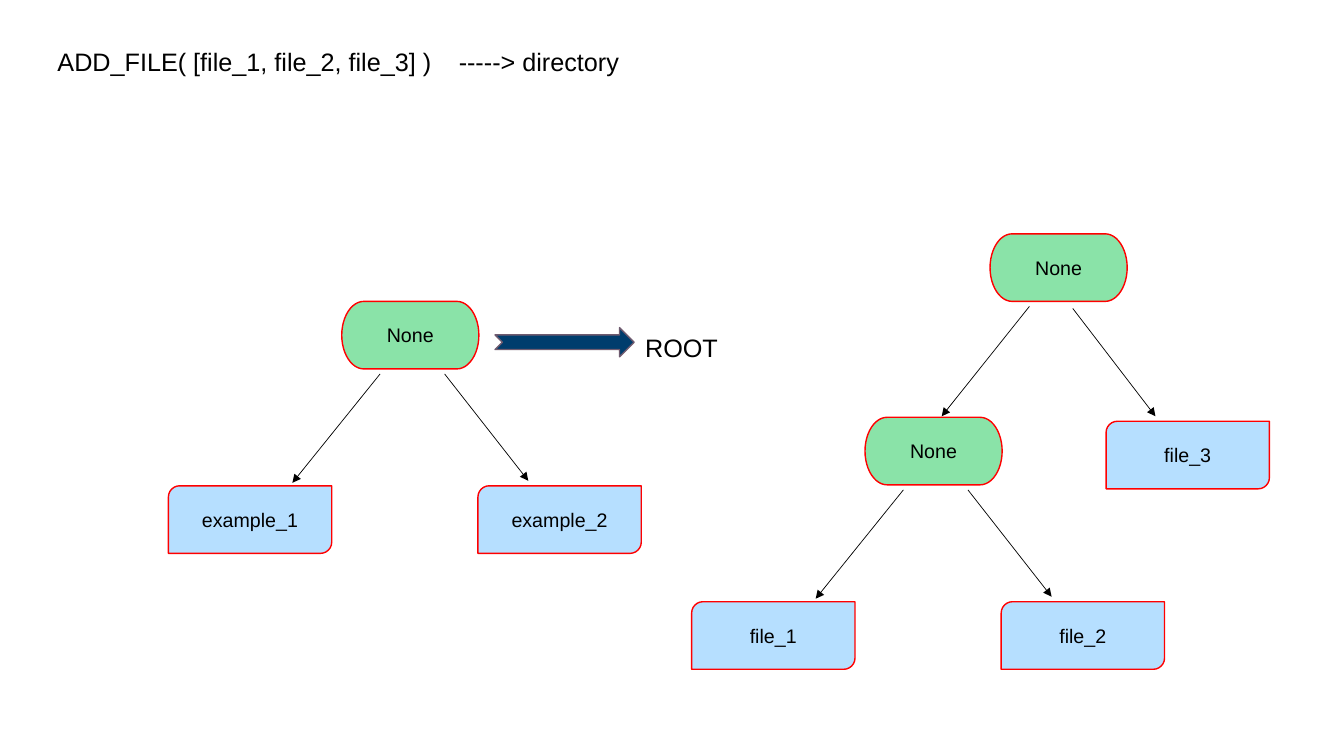
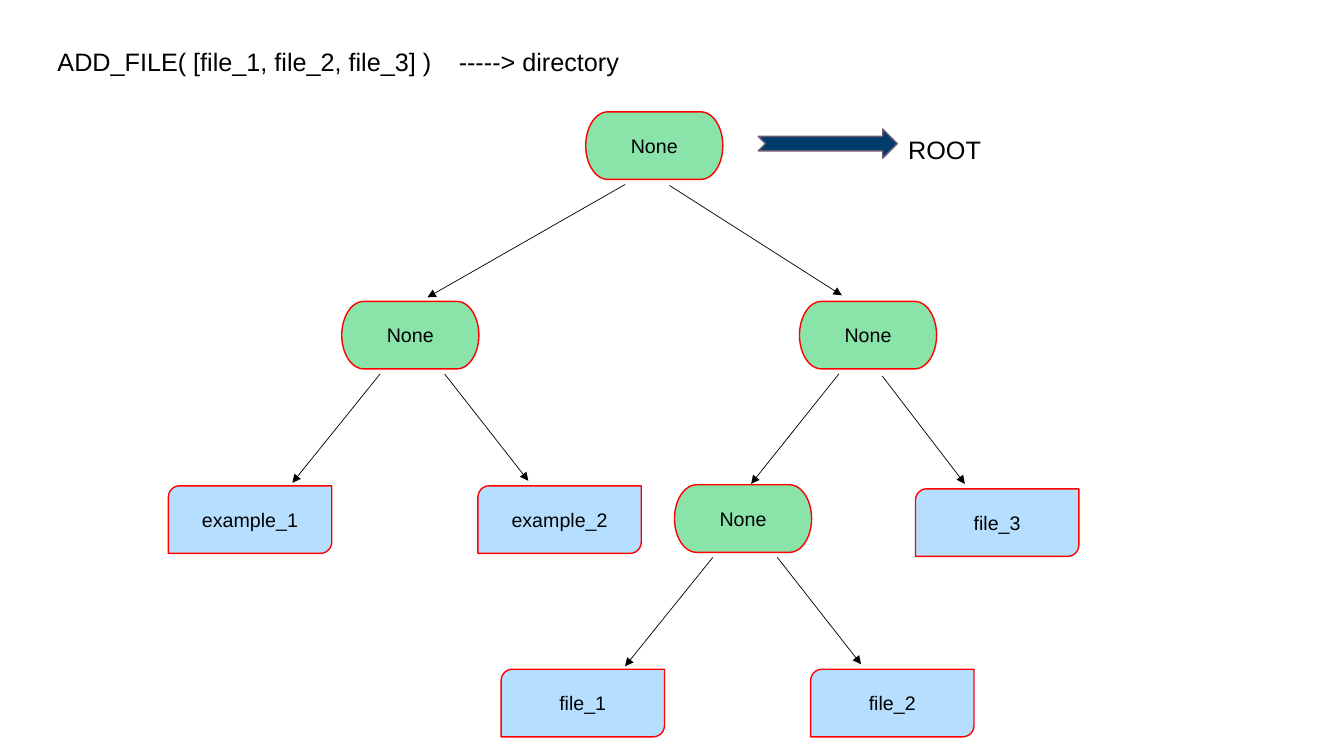
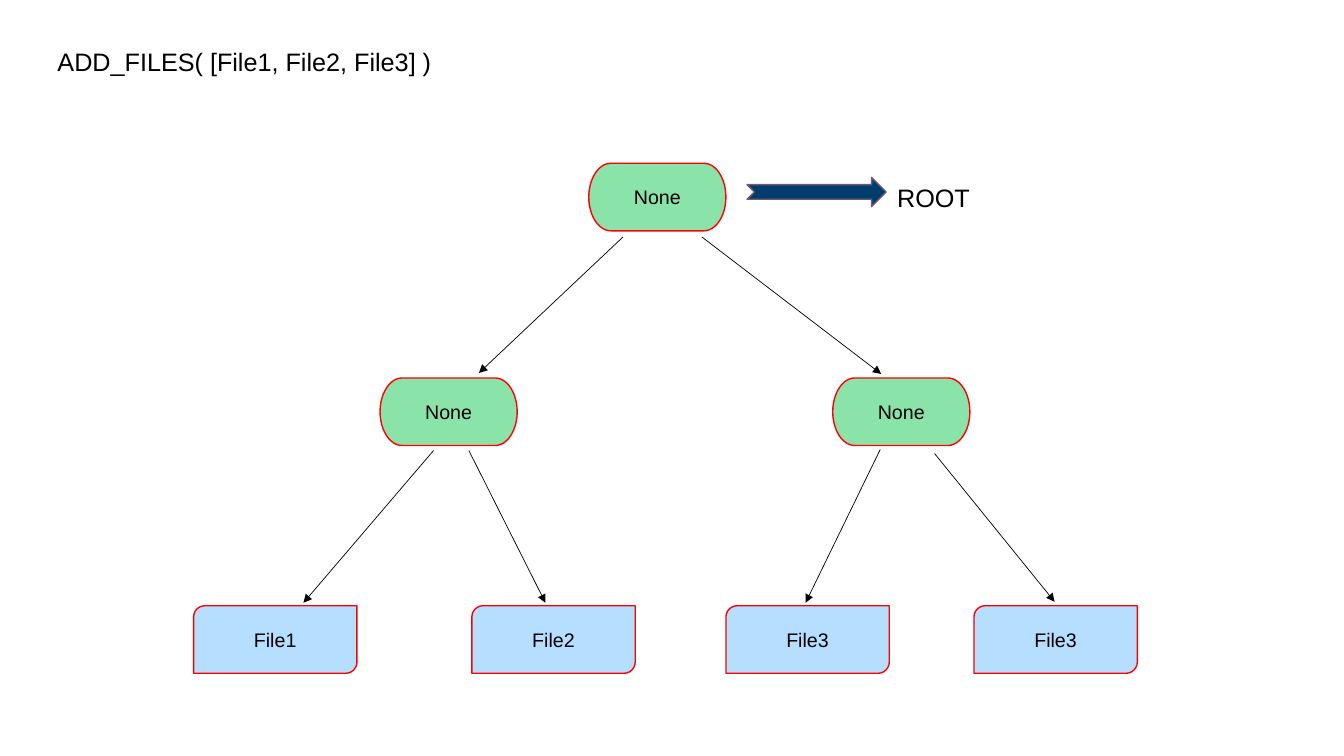
from lxml import etree
from pptx import Presentation
from pptx.dml.color import RGBColor
from pptx.enum.shapes import MSO_CONNECTOR, MSO_SHAPE
from pptx.enum.text import MSO_ANCHOR, MSO_AUTO_SIZE, PP_ALIGN
from pptx.oxml.ns import qn
from pptx.util import Inches, Pt

FONT = "Arial"
COLORS = {
    "text": "000000",
    "node": "8AE3A8",
    "leaf": "B6DFFF",
    "outline": "FF0000",
    "pointer": "003D6D",
    "pointer_line": "6F5B6F",
}
NODE_W, LEAF_W, BOX_H = 1.36, 1.62, 0.67


def color(name):
    return RGBColor.from_string(COLORS[name])


class TreeDeck:
    """Holds the shared style and the current slide."""

    def __init__(self):
        self.prs = Presentation()
        self.prs.slide_width = Inches(13.33)
        self.prs.slide_height = Inches(7.5)
        self.slide = None

    def set_text(self, tf, text, size, align=PP_ALIGN.LEFT, anchor=MSO_ANCHOR.TOP):
        tf.text = text
        tf.word_wrap = True
        tf.vertical_anchor = anchor
        p = tf.paragraphs[0]
        p.alignment = align
        for r in p.runs:
            r.font.name = FONT
            r.font.size = Pt(size)
            r.font.color.rgb = color("text")
        return p

    def new_slide(self, title):
        self.slide = self.prs.slides.add_slide(self.prs.slide_layouts[5])
        sp = self.slide.shapes.title
        sp.left, sp.top = Inches(0.47), Inches(0.41)
        sp.width, sp.height = Inches(6.15), Inches(0.4)
        sp.text_frame.auto_size = MSO_AUTO_SIZE.NONE
        p = self.set_text(sp.text_frame, title, 18)
        # Tab stop for the part after the call
        tabs = etree.SubElement(p._p.get_or_add_pPr(), qn("a:tabLst"))
        etree.SubElement(tabs, qn("a:tab"), pos=str(Inches(3.98)), algn="l")

    def shape(self, kind, x, y, w, h, fill, line="outline"):
        sp = self.slide.shapes.add_shape(
            kind, Inches(x), Inches(y), Inches(w), Inches(h))
        sp.shadow.inherit = False
        sp.fill.solid()
        sp.fill.fore_color.rgb = color(fill)
        sp.line.color.rgb = color(line)
        sp.line.width = Pt(1)
        return sp

    def node(self, x, y):
        sp = self.shape(MSO_SHAPE.FLOWCHART_TERMINATOR, x, y, NODE_W, BOX_H, "node")
        self.set_text(sp.text_frame, "None", 14, PP_ALIGN.CENTER, MSO_ANCHOR.MIDDLE)

    def leaf(self, name, x, y):
        sp = self.shape(MSO_SHAPE.ROUND_2_DIAG_RECTANGLE, x, y, LEAF_W, BOX_H, "leaf")
        self.set_text(sp.text_frame, name, 14, PP_ALIGN.CENTER, MSO_ANCHOR.MIDDLE)

    def arrow(self, x1, y1, x2, y2):
        cxn = self.slide.shapes.add_connector(
            MSO_CONNECTOR.STRAIGHT, Inches(x1), Inches(y1), Inches(x2), Inches(y2))
        cxn.line.color.rgb = color("text")
        cxn.line.width = Pt(0.5)
        sp_pr = cxn.element.spPr
        etree.SubElement(sp_pr.find(qn("a:ln")), qn("a:tailEnd"), type="triangle")
        etree.SubElement(sp_pr, qn("a:effectLst"))

    def root_pointer(self, x, y):
        self.shape(MSO_SHAPE.NOTCHED_RIGHT_ARROW, x, y, 1.38, 0.29,
                   "pointer", "pointer_line")
        box = self.slide.shapes.add_textbox(
            Inches(x + 1.39), Inches(y), Inches(1.4), Inches(0.4))
        self.set_text(box.text_frame, "ROOT", 18)

    def leaf_pair(self, x, y, left, right):
        """A node at x, y with two leaves below it."""
        self.node(x, y)
        self.leaf(left, x - 1.72, y + 1.83)
        self.leaf(right, x + 1.35, y + 1.83)
        self.arrow(x + 0.38, y + 0.72, x - 0.49, y + 1.8)
        self.arrow(x + 1.02, y + 0.72, x + 1.85, y + 1.78)

    def new_files(self, x, y):
        """A node at x, y over the pair file_1, file_2 and the single file_3."""
        self.node(x, y)
        self.leaf_pair(x - 1.24, y + 1.82, "file_1", "file_2")
        self.leaf("file_3", x + 1.15, y + 1.86)
        self.arrow(x + 0.39, y + 0.72, x - 0.48, y + 1.81)
        self.arrow(x + 0.82, y + 0.74, x + 1.64, y + 1.81)

    def add_file_slide(self):
        self.new_slide("ADD_FILE( [file_1, file_2, file_3] )\t-----> directory")
        self.leaf_pair(3.39, 2.99, "example_1", "example_2")


def main():
    deck = TreeDeck()

    # Slide 1: existing tree and new tree side by side
    deck.add_file_slide()
    deck.root_pointer(4.91, 3.25)
    deck.new_files(9.82, 2.32)

    # Slide 2: both trees under a new root
    deck.add_file_slide()
    deck.root_pointer(7.52, 1.28)
    deck.new_files(7.93, 2.99)
    deck.node(5.81, 1.11)
    deck.arrow(6.2, 1.83, 4.24, 2.95)
    deck.arrow(6.64, 1.84, 8.35, 2.93)

    # Slide 3: balanced tree
    deck.new_slide("ADD_FILES( [File1, File2, File3] )")
    deck.root_pointer(7.41, 1.76)
    for x, y in [(5.84, 1.62), (3.77, 3.75), (8.26, 3.75)]:
        deck.node(x, y)
    for name, x in [("File1", 1.92), ("File2", 4.68), ("File3", 7.2), ("File3", 9.66)]:
        deck.leaf(name, x, 6.01)
    for ends in [
        (6.18, 2.35, 4.75, 3.7),
        (6.96, 2.35, 8.74, 3.71),
        (4.3, 4.47, 3.01, 5.98),
        (4.65, 4.47, 5.41, 5.98),
        (8.73, 4.46, 7.99, 5.98),
        (9.27, 4.5, 10.46, 5.97),
    ]:
        deck.arrow(*ends)

    deck.prs.save("out.pptx")


if __name__ == "__main__":
    main()
